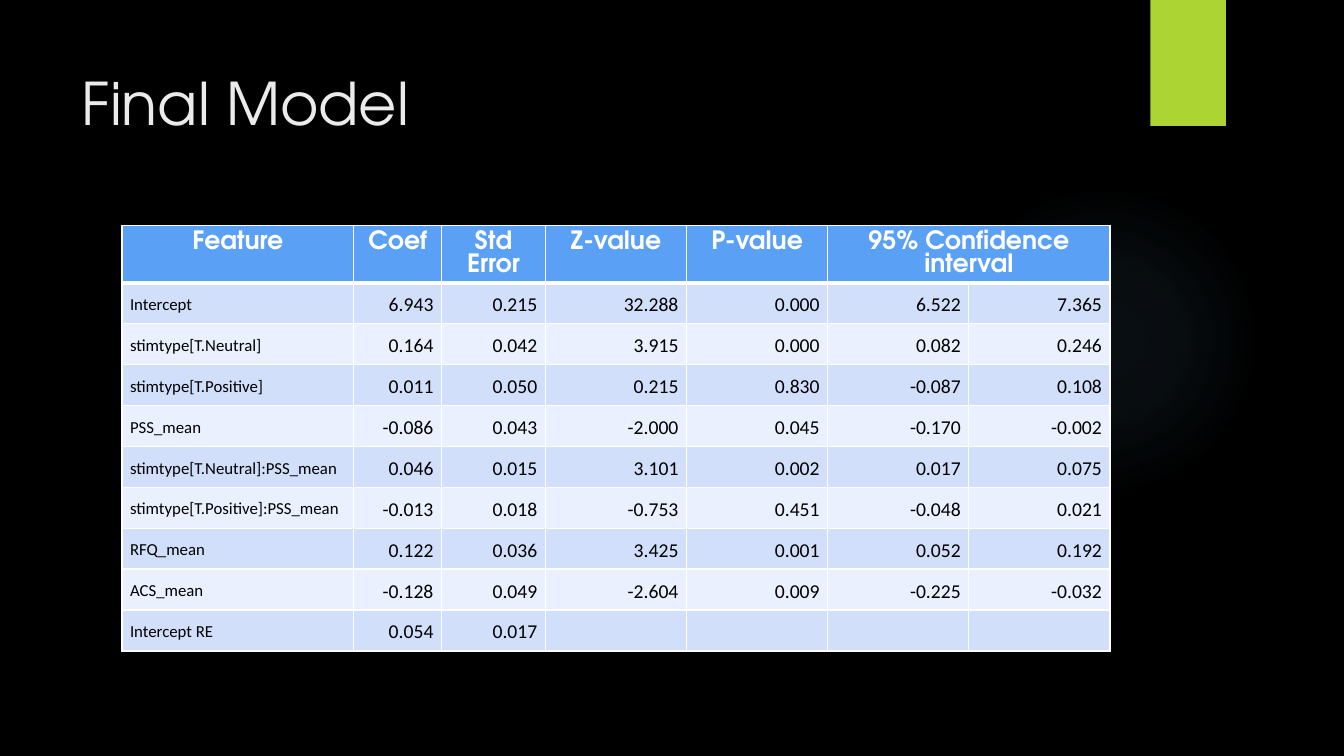
import pptx
import pptx.dml.color
import pptx.enum.shapes
import pptx.enum.text
import pptx.oxml
import pptx.oxml.ns
import pptx.util

Inches = pptx.util.Inches
ALIGN = pptx.enum.text.PP_ALIGN
ANCHOR = pptx.enum.text.MSO_ANCHOR
SHAPE = pptx.enum.shapes.MSO_SHAPE

HEADING_FONT = "TeX Gyre Adventor"
BODY_FONT = "Calibri"
COLUMN_WIDTHS = [2.3, 0.87, 1.03, 1.4, 1.4, 1.4, 1.4]
HEADERS = ["Feature", "Coef", "Std Error", "Z-value", "P-value",
           "95% Confidence interval", ""]
ROWS = [
    ["Intercept", "6.943", "0.215", "32.288", "0.000", "6.522", "7.365"],
    ["stimtype[T.Neutral]", "0.164", "0.042", "3.915", "0.000", "0.082", "0.246"],
    ["stimtype[T.Positive]", "0.011", "0.050", "0.215", "0.830", "-0.087", "0.108"],
    ["PSS_mean", "-0.086", "0.043", "-2.000", "0.045", "-0.170", "-0.002"],
    ["stimtype[T.Neutral]:PSS_mean", "0.046", "0.015", "3.101", "0.002", "0.017", "0.075"],
    ["stimtype[T.Positive]:PSS_mean", "-0.013", "0.018", "-0.753", "0.451", "-0.048", "0.021"],
    ["RFQ_mean", "0.122", "0.036", "3.425", "0.001", "0.052", "0.192"],
    ["ACS_mean", "-0.128", "0.049", "-2.604", "0.009", "-0.225", "-0.032"],
    ["Intercept RE", "0.054", "0.017", "", "", "", ""],
]


def rgb(color):
    return pptx.dml.color.RGBColor.from_string(color)


def paint(fill, color):
    fill.solid()
    fill.fore_color.rgb = rgb(color)


def add_run(p, text, size, font, color, bold=False):
    r = p.add_run()
    r.text = text
    r.font.size = pptx.util.Pt(size)
    r.font.name = font
    r.font.bold = bold
    r.font.color.rgb = rgb(color)


def add_plain_shape(s, kind, left, top, width, height):
    sp = s.shapes.add_shape(kind, Inches(left), Inches(top), Inches(width), Inches(height))
    sp.shadow.inherit = False
    sp.line.fill.background()
    return sp


def add_glow(s):
    sp = add_plain_shape(s, SHAPE.OVAL, 9.41, 1.83, 3.08, 3.08)
    sp.fill.background()
    stops = "".join(
        f'<a:gs pos="{pos * 1000}"><a:srgbClr val="7AC4F0">'
        f'<a:alpha val="{alpha * 1000}"/></a:srgbClr></a:gs>'
        for pos, alpha in [(0, 7), (36, 6), (69, 0), (100, 0)])
    gradient = pptx.oxml.parse_xml(
        f'<a:gradFill {pptx.oxml.ns.nsdecls("a")}><a:gsLst>{stops}</a:gsLst>'
        '<a:path path="circle"><a:fillToRect l="50000" t="50000" r="50000" b="50000"/>'
        '</a:path></a:gradFill>')
    props = sp.element.spPr
    props.replace(props.find(pptx.oxml.ns.qn("a:noFill")), gradient)


def add_title(s, text):
    sp = s.shapes.title
    sp.left, sp.top = Inches(0.71), Inches(0.5)
    sp.width, sp.height = Inches(10.29), Inches(1.02)
    tf = sp.text_frame
    tf.word_wrap = True
    tf.vertical_anchor = ANCHOR.MIDDLE
    p = tf.paragraphs[0]
    p.alignment = ALIGN.LEFT
    add_run(p, text, 42, HEADING_FONT, "EBEBEB")


def add_borders(cell, top=1, bottom=1):
    for side, width in [("L", 1), ("R", 1), ("T", top), ("B", bottom)]:
        cell._tc.get_or_add_tcPr().append(pptx.oxml.parse_xml(
            f'<a:ln{side} {pptx.oxml.ns.nsdecls("a")} w="{width * 12700}">'
            f'<a:solidFill><a:srgbClr val="FFFFFF"/></a:solidFill></a:ln{side}>'))


def format_header(cell, text):
    add_borders(cell, bottom=3)
    paint(cell.fill, "5AA0F5")
    if text:
        p = cell.text_frame.paragraphs[0]
        p.alignment = ALIGN.CENTER
        add_run(p, text, 18, HEADING_FONT, "FFFFFF", True)


def format_body(cell, text, row, col):
    add_borders(cell, top=3 if row == 1 else 1)
    paint(cell.fill, "D2DFFB" if row % 2 else "EAF0FD")
    cell.vertical_anchor = ANCHOR.MIDDLE
    cell.margin_left = cell.margin_right = Inches(0.08)
    cell.margin_top = cell.margin_bottom = 0
    if text:
        p = cell.text_frame.paragraphs[0]
        p.line_spacing = 1.15
        p.alignment = ALIGN.RIGHT if col else ALIGN.LEFT
        add_run(p, text, 14 if col else 12, BODY_FONT, "000000")


def add_model_table(s):
    frame = s.shapes.add_table(len(ROWS) + 1, len(HEADERS), Inches(1.21), Inches(2.24),
                               Inches(sum(COLUMN_WIDTHS)), Inches(4.06))
    table = frame.table
    for column, width in zip(table.columns, COLUMN_WIDTHS):
        column.width = Inches(width)
    table.cell(0, 5).merge(table.cell(0, 6))
    for col, text in enumerate(HEADERS):
        format_header(table.cell(0, col), text)
    for row, values in enumerate(ROWS, 1):
        for col, text in enumerate(values):
            format_body(table.cell(row, col), text, row, col)


def main():
    prs = pptx.Presentation()
    prs.slide_width, prs.slide_height = Inches(13.33), Inches(7.5)
    s = prs.slides.add_slide(prs.slide_layouts[5])
    paint(s.background.fill, "000000")
    add_glow(s)
    tab = add_plain_shape(s, SHAPE.RECTANGLE, 11.41, 0, 0.75, 1.25)
    paint(tab.fill, "ACD433")
    add_title(s, "Final Model")
    add_model_table(s)
    prs.save("out.pptx")


if __name__ == "__main__":
    main()
